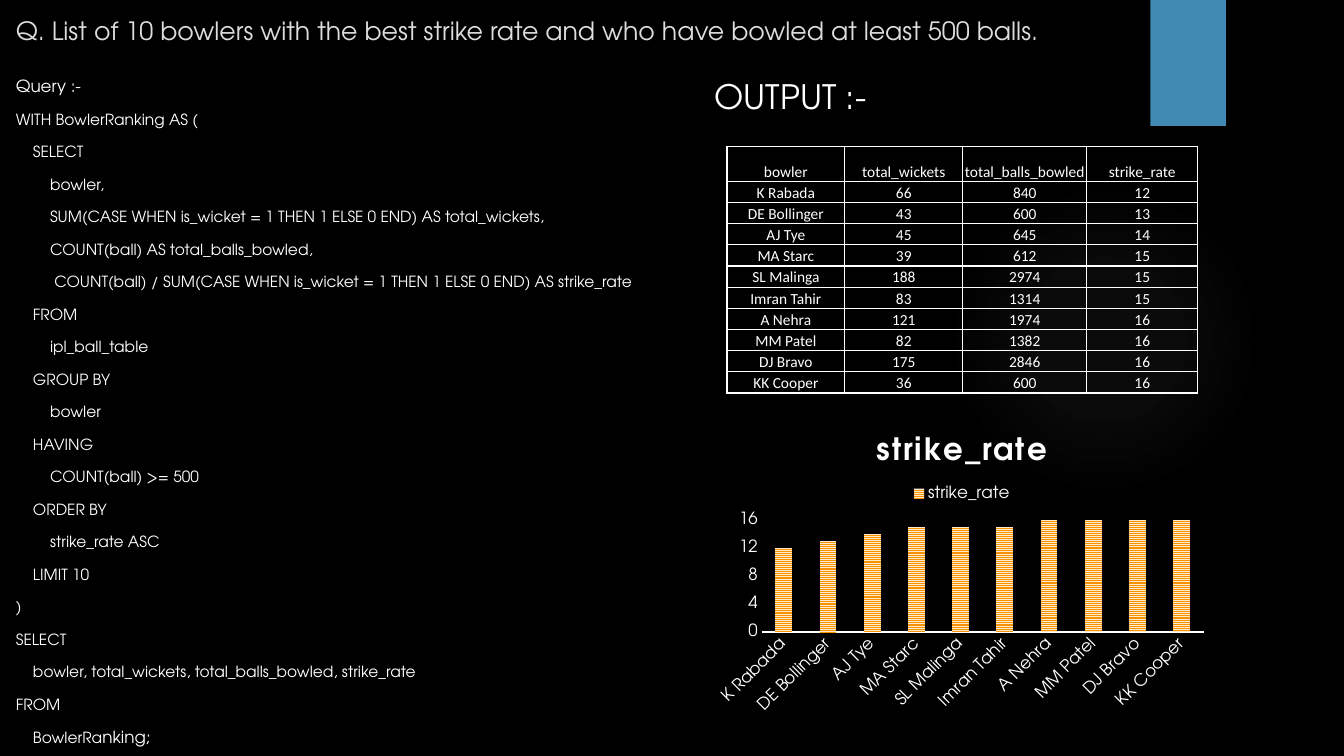
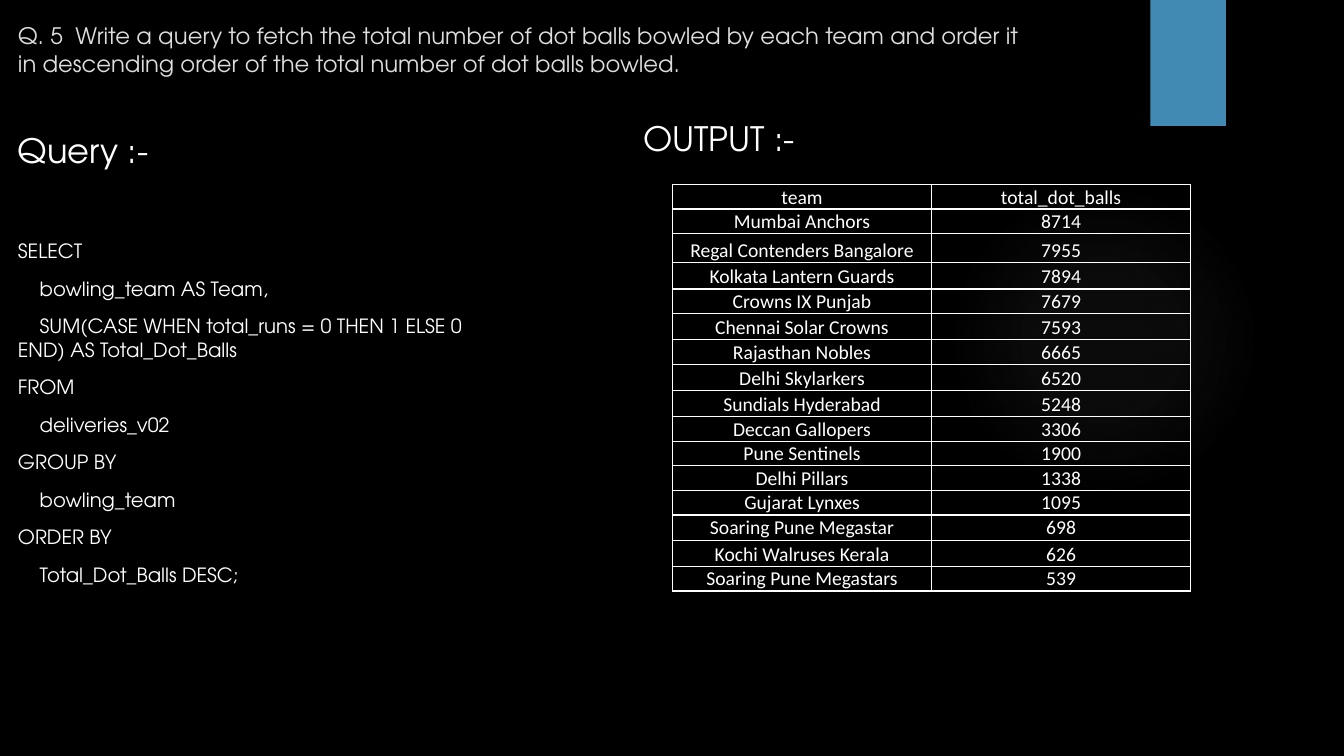
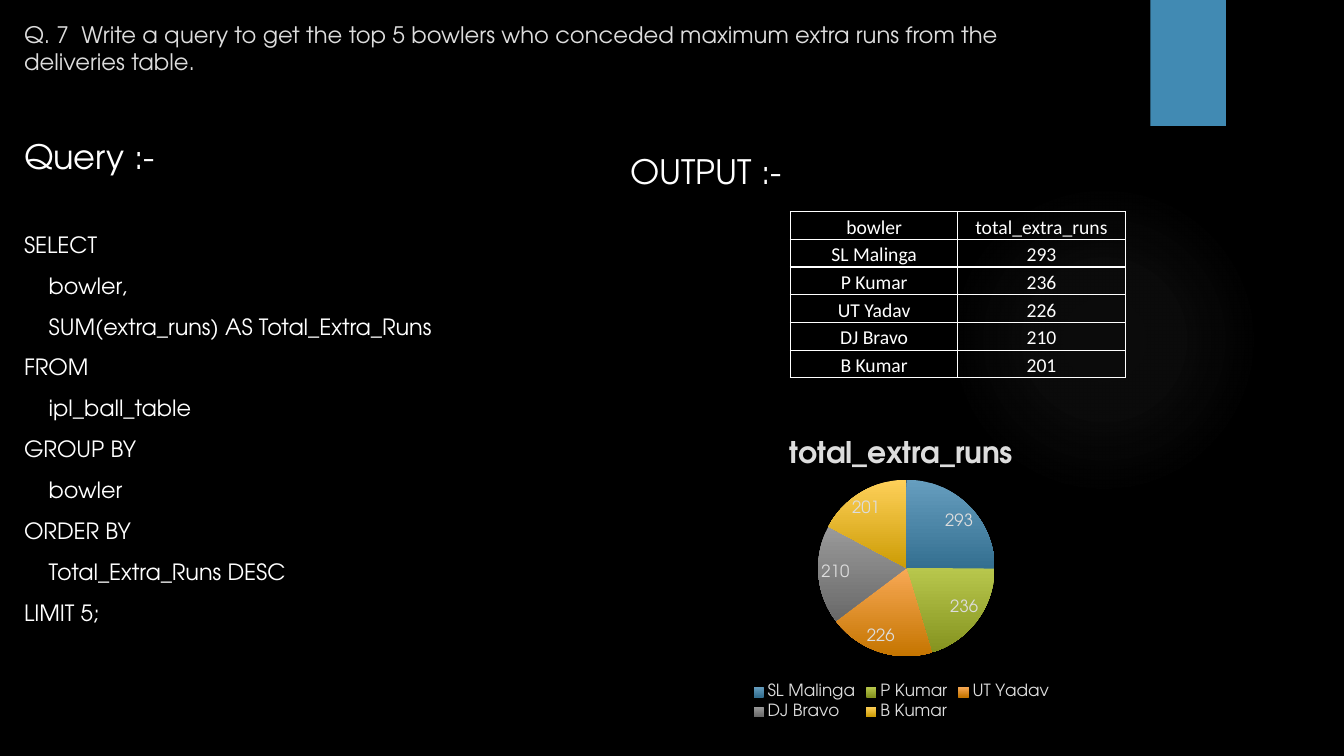
from lxml import etree
from pptx import Presentation
from pptx import util as u
from pptx.chart.data import CategoryChartData
from pptx.dml.color import RGBColor
from pptx.enum import chart as charts, dml, shapes, text
from pptx.oxml import parse_xml
from pptx.oxml.ns import nsdecls, qn

# Shared look
FONT, TABLE_FONT = "TeX Gyre Adventor", "Calibri"
WHITE, PALE, BLACK = "FFFFFF", "DDDDDD", "000000"
BLUE, GLOW = "418AB3", "9E9E9E"
GLOW_STOPS = [(0, 7), (36, 6), (69, 0)]  # position and opacity, percent

BOWLER_CODE = """WITH BowlerRanking AS (
    SELECT
        bowler,
        SUM(CASE WHEN is_wicket = 1 THEN 1 ELSE 0 END) AS total_wickets,
        COUNT(ball) AS total_balls_bowled,
         COUNT(ball) / SUM(CASE WHEN is_wicket = 1 THEN 1 ELSE 0 END) AS strike_rate
    FROM
        ipl_ball_table
    GROUP BY
        bowler
    HAVING
        COUNT(ball) >= 500
    ORDER BY
        strike_rate ASC
    LIMIT 10
)
SELECT
    bowler, total_wickets, total_balls_bowled, strike_rate
FROM
    BowlerRa"""
DOT_BALL_CODE = """SELECT
    bowling_team AS Team,
    SUM(CASE WHEN total_runs = 0 THEN 1 ELSE 0 END) AS Total_Dot_Balls
FROM
    deliveries_v02
GROUP BY
    bowling_team
ORDER BY
    Total_Dot_Balls DESC;"""
EXTRAS_CODE = """SELECT
    bowler,
    SUM(extra_runs) AS Total_Extra_Runs
FROM
    ipl_ball_table
GROUP BY
    bowler
ORDER BY
    Total_Extra_Runs DESC
LIMIT 5;"""

BOWLERS = [
    ("bowler", "total_wickets", "total_balls_bowled", "strike_rate"),
    ("K Rabada", 66, 840, 12),
    ("DE Bollinger", 43, 600, 13),
    ("AJ Tye", 45, 645, 14),
    ("MA Starc", 39, 612, 15),
    ("SL Malinga", 188, 2974, 15),
    ("Imran Tahir", 83, 1314, 15),
    ("A Nehra", 121, 1974, 16),
    ("MM Patel", 82, 1382, 16),
    ("DJ Bravo", 175, 2846, 16),
    ("KK Cooper", 36, 600, 16),
]
DOT_BALLS = [
    ("team", "total_dot_balls"),
    ("Mumbai Anchors", 8714),
    ("Regal Contenders Bangalore", 7955),
    ("Kolkata Lantern Guards", 7894),
    ("Crowns IX Punjab", 7679),
    ("Chennai Solar Crowns", 7593),
    ("Rajasthan Nobles", 6665),
    ("Delhi Skylarkers", 6520),
    ("Sundials Hyderabad", 5248),
    ("Deccan Gallopers", 3306),
    ("Pune Sentinels", 1900),
    ("Delhi Pillars", 1338),
    ("Gujarat Lynxes", 1095),
    ("Soaring Pune Megastar", 698),
    ("Kochi Walruses Kerala", 626),
    ("Soaring Pune Megastars", 539),
]
DOT_BALL_ROWS = [0.24, 0.24, 0.29, 0.26, 0.24, 0.26, 0.24, 0.26,
                 0.26, 0.24, 0.24, 0.24, 0.24, 0.25, 0.26, 0.24]
EXTRAS = [
    ("bowler", "total_extra_runs"),
    ("SL Malinga", 293),
    ("P Kumar", 236),
    ("UT Yadav", 226),
    ("DJ Bravo", 210),
    ("B Kumar", 201),
]
SLICE_COLORS = [("669EBF", "346F90"), ("B8C74D", "85931F"), ("F8A956", "C57500"),
                ("9A9A9A", "696969"), ("FED059", "CC9C05")]


def rgb(color):
    return RGBColor.from_string(color)


def inches(*lengths):
    return [u.Inches(length) for length in lengths]


# Text
def style(font, size, color=WHITE, name=FONT, bold=False):
    font.size, font.name, font.bold = u.Pt(size), name, bold
    font.color.rgb = rgb(color)


def write(paragraph, content, before=0, align=None, **look):
    if before:
        paragraph.space_before = u.Pt(before)
    if align is not None:
        paragraph.alignment = align
    run = paragraph.add_run()
    run.text = content
    style(run.font, **look)


def add_text(slide, box, content, **look):
    frame = slide.shapes.add_textbox(*inches(*box)).text_frame
    frame.word_wrap = True
    write(frame.paragraphs[0], content, **look)
    return frame


def add_query(slide, box, code, heading_size, size, gap):
    frame = add_text(slide, box, "Query :-", size=heading_size)
    for number, line in enumerate(code.splitlines()):
        write(frame.add_paragraph(), line, size=size, before=10 if number else gap)
    return frame


# Background, glow and corner band
def add_decor(slide, kind, box, color):
    decor = slide.shapes.add_shape(kind, *inches(*box))
    decor.shadow.inherit = False
    decor.fill.solid()
    decor.fill.fore_color.rgb = rgb(color)
    decor.line.fill.background()
    return decor


def start_slide(prs, question, box, size):
    slide = prs.slides.add_slide(prs.slide_layouts[6])
    glow = add_decor(slide, shapes.MSO_SHAPE.OVAL, (9.41, 1.83, 3.08, 3.08), GLOW)
    stops = "".join(
        f'<a:gs pos="{position * 1000}"><a:srgbClr val="{GLOW}">'
        f'<a:alpha val="{opacity * 1000}"/></a:srgbClr></a:gs>'
        for position, opacity in GLOW_STOPS)
    solid = glow._element.spPr.find(qn("a:solidFill"))
    solid.getparent().replace(solid, parse_xml(
        f'<a:gradFill {nsdecls("a")}><a:gsLst>{stops}</a:gsLst><a:path path="circle">'
        '<a:fillToRect l="50000" t="50000" r="50000" b="50000"/></a:path></a:gradFill>'))
    add_decor(slide, shapes.MSO_SHAPE.RECTANGLE, (11.41, 0, 0.75, 1.25), BLUE)
    add_text(slide, box, question, size=size, color=PALE)
    return slide


# Tables
def add_border(cell):
    properties = cell._tc.get_or_add_tcPr()
    for position, side in enumerate(("lnL", "lnR", "lnT", "lnB")):
        properties.insert(position, parse_xml(
            f'<a:{side} {nsdecls("a")} w="12700"><a:solidFill>'
            f'<a:srgbClr val="{WHITE}"/></a:solidFill></a:{side}>'))


def add_results(slide, left, top, rows, widths, heights, size):
    box = inches(left, top, sum(widths), sum(heights))
    table = slide.shapes.add_table(len(rows), len(widths), *box).table
    table.first_row = table.horz_banding = False
    for column, width in zip(table.columns, widths):
        column.width = u.Inches(width)
    for row, height, values in zip(table.rows, heights, rows):
        row.height = u.Inches(height)
        for cell, value in zip(row.cells, values):
            cell.fill.background()
            add_border(cell)
            cell.margin_left = cell.margin_right = cell.margin_top = u.Inches(0.01)
            cell.margin_bottom = 0
            cell.vertical_anchor = text.MSO_ANCHOR.BOTTOM
            write(cell.text_frame.paragraphs[0], str(value), size=size,
                  name=TABLE_FONT, align=text.PP_ALIGN.CENTER)


# Charts
def add_chart(slide, kind, box, rows, title_size, color, legend_place):
    data = CategoryChartData()
    data.categories = [row[0] for row in rows[1:]]
    name = rows[0][-1]
    data.add_series(name, [row[-1] for row in rows[1:]])
    chart = slide.shapes.add_chart(kind, *inches(*box), data).chart
    style(chart.font, 10)
    chart.has_title = True
    write(chart.chart_title.text_frame.paragraphs[0], name,
          size=title_size, color=color, bold=True)
    chart.chart_title.include_in_layout = False
    chart.has_legend = True
    chart.legend.position = legend_place
    chart.legend.include_in_layout = False
    style(chart.legend.font, 12, color)
    return chart


def add_strike_rate_chart(slide):
    chart = add_chart(slide, charts.XL_CHART_TYPE.COLUMN_CLUSTERED, (7.04, 4.14, 5, 3),
                      BOWLERS, 22, WHITE, charts.XL_LEGEND_POSITION.TOP)
    title_run = chart.chart_title.text_frame.paragraphs[0].runs[0]
    title_run._r.get_or_add_rPr().set("spc", "140")

    plot = chart.plots[0]
    plot.vary_by_categories = False
    plot.gap_width, plot.overlap = 164, -22
    bars = plot.series[0].format.fill
    bars.patterned()
    bars.pattern = dml.MSO_PATTERN.NARROW_HORIZONTAL
    bars.fore_color.rgb, bars.back_color.rgb = rgb("F69200"), rgb("FFEACA")

    names, rates = chart.category_axis, chart.value_axis
    for axis in (names, rates):
        axis.major_tick_mark = axis.minor_tick_mark = charts.XL_TICK_MARK.NONE
        axis.has_major_gridlines = False
        style(axis.tick_labels.font, 12)
    names.format.line.color.rgb = rgb(WHITE)
    names.format.line.width = u.Pt(1.5)
    names._element.find(qn("c:txPr")).find(qn("a:bodyPr")).set("rot", "-2700000")
    rates.format.line.fill.background()
    rates.minimum_scale, rates.maximum_scale, rates.major_unit = 0, 16, 4


def add_extras_chart(slide):
    chart = add_chart(slide, charts.XL_CHART_TYPE.PIE, (6.44, 4.18, 5, 3),
                      EXTRAS, 21.3, PALE, charts.XL_LEGEND_POSITION.BOTTOM)
    plot = chart.plots[0]
    plot.vary_by_categories = True
    for number, colors in enumerate(SLICE_COLORS):
        piece = plot.series[0].points[number].format
        piece.line.fill.background()
        piece.fill.gradient()
        piece.fill.gradient_angle = 270
        for stop, color, position in zip(piece.fill.gradient_stops, colors, (0, 1)):
            stop.color.rgb, stop.position = rgb(color), position
    labels = plot.series[0].data_labels
    labels.show_value = True
    labels.position = charts.XL_LABEL_POSITION.BEST_FIT
    style(labels.font, 12, PALE)

    # Fixed place of the pie inside the chart
    area = chart._chartSpace.find(qn("c:chart")).find(qn("c:plotArea"))
    for layout in area.findall(qn("c:layout")):
        area.remove(layout)
    layout = etree.Element(qn("c:layout"))
    manual = etree.SubElement(layout, qn("c:manualLayout"))
    for tag, value in (("layoutTarget", "inner"), ("xMode", "edge"), ("yMode", "edge"),
                       ("x", 0.335), ("y", 0.193), ("w", 0.35), ("h", 0.584)):
        etree.SubElement(manual, qn(f"c:{tag}")).set("val", str(value))
    area.insert(0, layout)


# Slides
def build_strike_rates(prs):
    slide = start_slide(
        prs, "Q. List of 10 bowlers with the best strike rate and who have bowled "
        "at least 500 balls.", (0.06, 0.1, 10.57, 0.48), 18)
    query = add_query(slide, (0.06, 0.7, 7.06, 6.8), BOWLER_CODE, 12, 11, 10)
    write(query.paragraphs[-1], "nking;", size=12, before=10)
    add_text(slide, (6.99, 0.7, 4, 0.5), "OUTPUT :-", size=24)
    add_results(slide, 7.21, 1.45, BOWLERS, [1.17, 1.17, 1.23, 1.1],
                [0.35] + [0.21] * 10, 11)
    add_strike_rate_chart(slide)


def build_dot_balls(prs):
    slide = start_slide(
        prs, "Q. 5  Write a query to fetch the total number of dot balls bowled by each "
        "team and order it in descending order of the total number of dot balls bowled.",
        (0.08, 0.17, 10.29, 0.61), 16.2)
    add_query(slide, (0.08, 1.24, 4.81, 6.09), DOT_BALL_CODE, 24, 14, 49)
    add_text(slide, (6.28, 1.12, 4.81, 0.5), "OUTPUT :-", size=24)
    add_results(slide, 6.67, 1.83, DOT_BALLS, [2.57] * 2, DOT_BALL_ROWS, 14)


def build_extras(prs):
    slide = start_slide(
        prs, "Q. 7  Write a query to get the top 5 bowlers who conceded maximum extra "
        "runs from the deliveries table.", (0.14, 0.16, 10.29, 0.68), 16.2)
    add_query(slide, (0.14, 1.3, 4.81, 5.88), EXTRAS_CODE, 24, 16, 39)
    add_text(slide, (6.15, 1.45, 4.81, 0.5), "OUTPUT :-", size=24)
    add_results(slide, 7.84, 2.1, EXTRAS, [1.66] * 2, [1.65 / len(EXTRAS)] * len(EXTRAS), 14)
    add_extras_chart(slide)


def main():
    prs = Presentation()
    prs.slide_width, prs.slide_height = inches(13.33, 7.5)
    backdrop = prs.slide_master.background.fill
    backdrop.solid()
    backdrop.fore_color.rgb = rgb(BLACK)
    build_strike_rates(prs)
    build_dot_balls(prs)
    build_extras(prs)
    prs.save("out.pptx")


if __name__ == "__main__":
    main()
